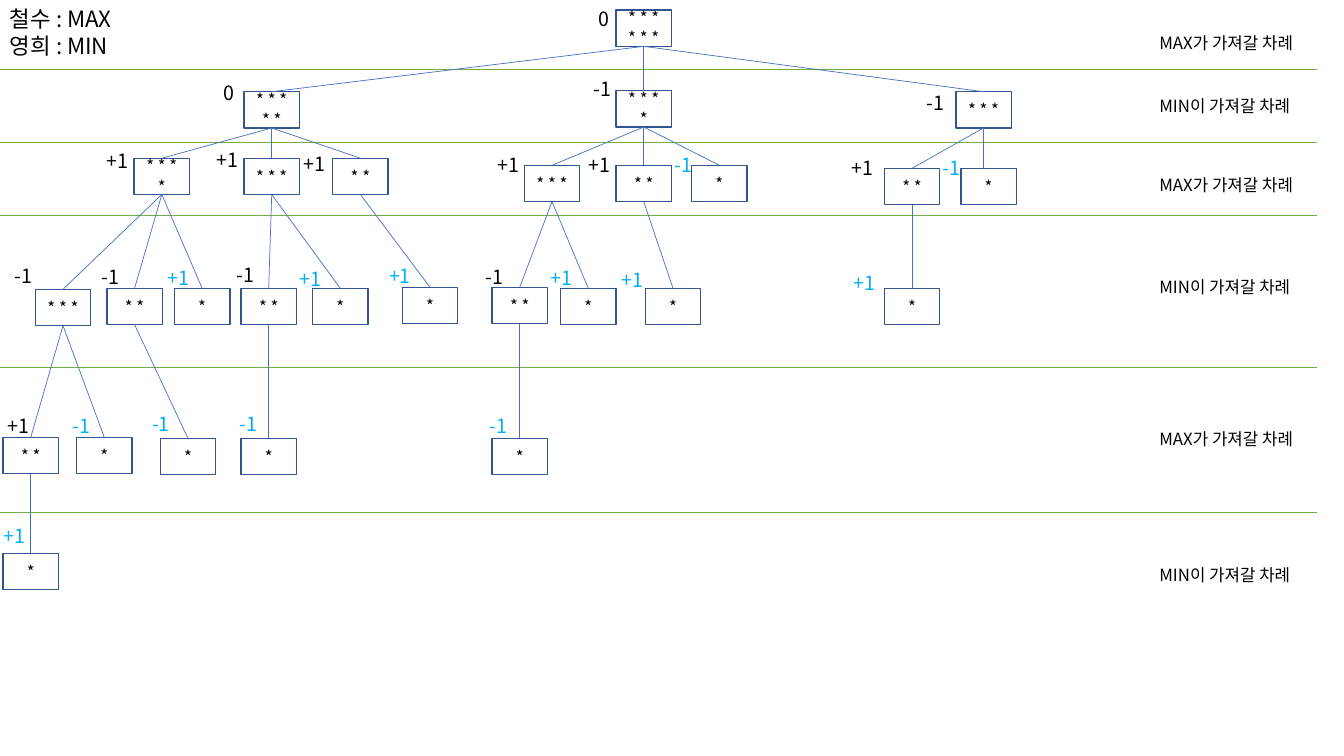
import dataclasses

import pptx
import pptx.dml.color
import pptx.enum.shapes
import pptx.enum.text
import pptx.oxml.ns
import pptx.util
from lxml import etree
from pptx.util import Inches


@dataclasses.dataclass(frozen=True)
class Theme:
    font: str = "Noto Sans CJK KR"
    ink: str = "000000"
    leaf: str = "00B0F0"
    paper: str = "FFFFFF"
    border: str = "325491"
    branch: str = "4472C4"
    divider: str = "70AD47"
    title: int = 16
    score: int = 14
    body: int = 12


@dataclasses.dataclass
class Node:
    stars: int
    x: float
    y: float
    score: str
    score_x: float
    score_y: float
    children: tuple = ()
    drop: bool = False


THEME = Theme()
BOX_W, BOX_H = 0.55, 0.36
STARS_PER_ROW = 3
SCORE_W = {"0": 0.26, "-1": 0.4, "+1": 0.45}
DIVIDERS = (0.69, 1.41, 2.14, 3.64, 5.08)
TURN_TOPS = (0.28, 0.9, 1.68, 2.7, 4.2, 5.55)
TURNS = ("MAX가 가져갈 차례", "MIN이 가져갈 차례")

FIVE_LEFT = Node(5, 2.42, 0.91, "0", 2.12, 0.75, (
    Node(4, 1.33, 1.57, "+1", 0.96, 1.43, (
        Node(3, 0.35, 2.87, "-1", 0.05, 2.57, (
            Node(2, 0.03, 4.34, "+1", -0.02, 4.06, (
                Node(1, 0.03, 5.49, "+1", -0.06, 5.15),)),
            Node(1, 0.76, 4.34, "-1", 0.62, 4.06))),
        Node(2, 1.06, 2.86, "-1", 0.91, 2.58, (
            Node(1, 1.59, 4.35, "-1", 1.41, 4.04),)),
        Node(1, 1.73, 2.86, "+1", 1.56, 2.59))),
    Node(3, 2.42, 1.57, "+1", 2.05, 1.42, (
        Node(2, 2.39, 2.86, "-1", 2.25, 2.56, (
            Node(1, 2.39, 4.35, "-1", 2.28, 4.04),)),
        Node(1, 3.1, 2.86, "+1", 2.87, 2.6))),
    Node(2, 3.3, 1.57, "+1", 2.91, 1.46, (
        Node(1, 3.99, 2.85, "+1", 3.76, 2.57),))))

FOUR_LEFT = Node(4, 6.11, 0.9, "-1", 5.79, 0.71, (
    Node(3, 5.2, 1.64, "+1", 4.84, 1.47, (
        Node(2, 4.88, 2.85, "-1", 4.72, 2.58, (
            Node(1, 4.88, 4.35, "-1", 4.76, 4.06),)),
        Node(1, 5.56, 2.86, "+1", 5.36, 2.59))),
    Node(2, 6.11, 1.64, "+1", 5.74, 1.47, (
        Node(1, 6.4, 2.86, "+1", 6.07, 2.61),)),
    Node(1, 6.86, 1.64, "-1", 6.59, 1.47)))

THREE_LEFT = Node(3, 9.48, 0.91, "-1", 9.09, 0.85, (
    Node(2, 8.77, 1.67, "+1", 8.35, 1.5, (
        Node(1, 8.77, 2.86, "+1", 8.37, 2.64),)),
    Node(1, 9.53, 1.67, "-1", 9.25, 1.5, drop=True)))

GAME = Node(6, 6.11, 0.1, "0", 5.84, 0.02, (FIVE_LEFT, FOUR_LEFT, THREE_LEFT))


def rgb(value):
    return pptx.dml.color.RGBColor.from_string(value)


def write_text(tf, text, size=THEME.body, color=THEME.ink, align=None):
    tf.word_wrap = True
    for i, line in enumerate(text.split("\n")):
        p = tf.add_paragraph() if i else tf.paragraphs[0]
        p.alignment = align
        r = p.add_run()
        r.text = line
        r.font.size = pptx.util.Pt(size)
        r.font.name = THEME.font
        r.font.color.rgb = rgb(color)
        ea = etree.SubElement(r.font._element, pptx.oxml.ns.qn("a:ea"))
        ea.set("typeface", THEME.font)


def add_label(s, text, x, y, w, h, **fmt):
    sp = s.shapes.add_textbox(Inches(x), Inches(y), Inches(w), Inches(h))
    write_text(sp.text_frame, text, **fmt)


def add_line(s, x1, y1, x2, y2, color):
    line = s.shapes.add_connector(
        pptx.enum.shapes.MSO_CONNECTOR.STRAIGHT,
        Inches(x1), Inches(y1), Inches(x2), Inches(y2))
    line.line.color.rgb = rgb(color)
    line.line.width = pptx.util.Pt(0.5)
    etree.SubElement(line._element.spPr, pptx.oxml.ns.qn("a:effectLst"))
    return line


def star_rows(count):
    rows = range(0, count, STARS_PER_ROW)
    return "\n".join(" ".join("*" * min(STARS_PER_ROW, count - i)) for i in rows)


def add_box(s, node):
    sp = s.shapes.add_shape(
        pptx.enum.shapes.MSO_SHAPE.RECTANGLE,
        Inches(node.x), Inches(node.y), Inches(BOX_W), Inches(BOX_H))
    sp.shadow.inherit = False
    sp.fill.solid()
    sp.fill.fore_color.rgb = rgb(THEME.paper)
    sp.line.color.rgb = rgb(THEME.border)
    sp.line.width = pptx.util.Pt(1)
    sp.text_frame.vertical_anchor = pptx.enum.text.MSO_ANCHOR.MIDDLE
    write_text(sp.text_frame, star_rows(node.stars),
               align=pptx.enum.text.PP_ALIGN.CENTER)
    return sp


def add_branch(s, parent, parent_box, child, child_box):
    x = parent.x + BOX_W / 2
    line = add_line(s, x, parent.y + BOX_H, x, child.y, THEME.branch)
    line.begin_connect(parent_box, 2)
    if not child.drop:
        line.end_connect(child_box, 0)


def add_tree(s, node):
    box = add_box(s, node)
    add_label(s, node.score, node.score_x, node.score_y,
              SCORE_W[node.score], 0.34, size=THEME.score,
              color=THEME.ink if node.children else THEME.leaf)
    for child in node.children:
        add_branch(s, node, box, child, add_tree(s, child))
    return box


def main():
    prs = pptx.Presentation()
    prs.slide_width, prs.slide_height = Inches(13.33), Inches(7.5)
    s = prs.slides.add_slide(prs.slide_layouts[6])
    for y in DIVIDERS:
        add_line(s, 0, y, 13.06, y, THEME.divider)
    add_label(s, "철수 : MAX\n영희 : MIN", 0, 0, 1.54, 0.64, size=THEME.title)
    for i, y in enumerate(TURN_TOPS):
        add_label(s, TURNS[i % 2], 11.4, y, 1.77, 0.3)
    add_tree(s, GAME)
    prs.save("out.pptx")


if __name__ == "__main__":
    main()
